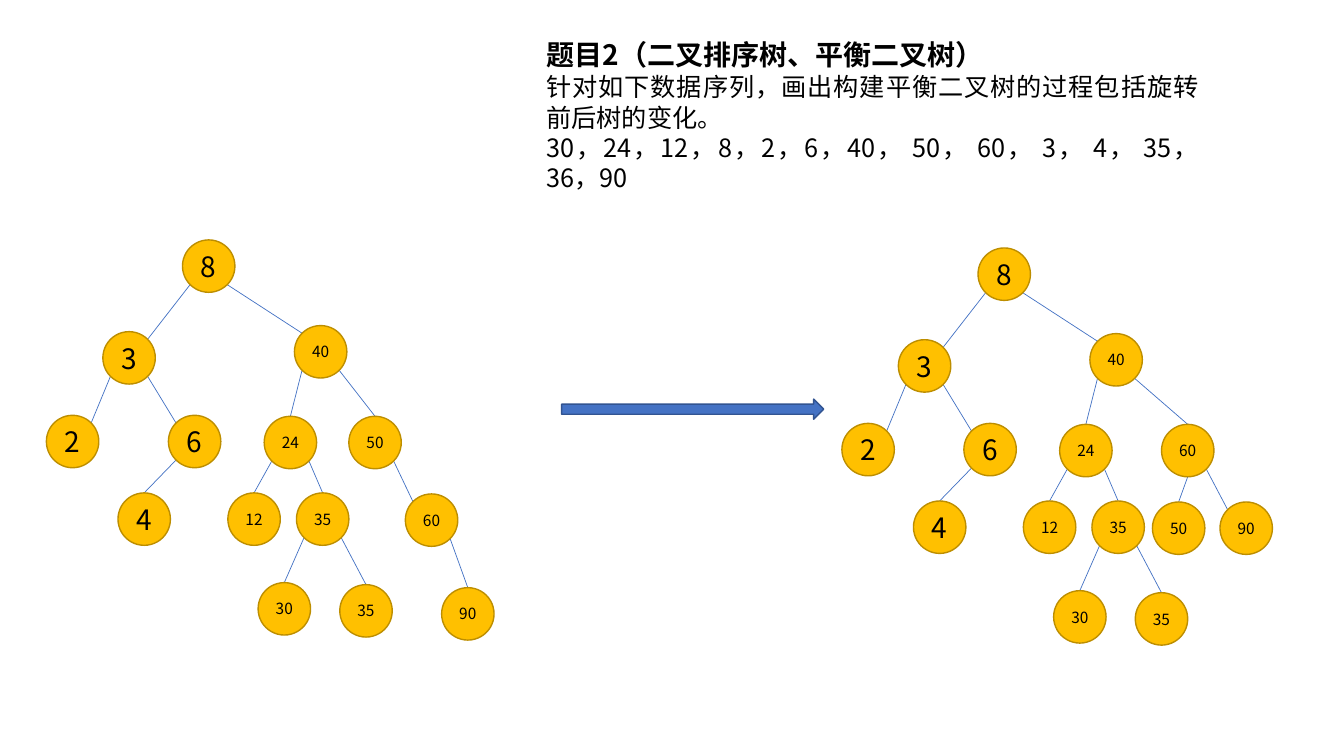
"""Build a slide showing a binary search tree before and after a rebalancing rotation."""
from lxml.etree import SubElement
from pptx import Presentation
from pptx.dml.color import RGBColor
from pptx.enum.shapes import MSO_CONNECTOR as Connector, MSO_SHAPE as Shape
from pptx.enum.text import MSO_ANCHOR as Anchor, MSO_AUTO_SIZE as AutoSize, PP_ALIGN as Align
from pptx.oxml.ns import qn
from pptx.util import Inches, Pt

HEADING = "题目2（二叉排序树、平衡二叉树）"
QUESTION = [
    "针对如下数据序列，画出构建平衡二叉树的过程包括旋转前后树的变化。",
    "30，24，12，8，2，6，40， 50， 60， 3， 4， 35， 36，90",
]
COLORS = {
    "text": "000000", "node": "FFC000", "node_line": "BD8E00",
    "edge": "4472C4", "arrow": "4472C4", "arrow_line": "325491",
}
FONT = "Noto Sans CJK SC"
NODE_SIZE = 0.52

SHARED_NODES = {
    "8": (1.81, 2.38), "3": (1.02, 3.29), "40": (2.92, 3.23),
    "2": (0.46, 4.12), "6": (1.67, 4.12), "24": (2.62, 4.13),
    "4": (1.17, 4.89), "12": (2.26, 4.89), "35": (2.94, 4.89),
    "30": (2.56, 5.78), "35 leaf": (3.37, 5.8),
}
SHARED_EDGES = [
    ("8", "bottom left", "3", "top right"), ("8", "bottom right", "40", "top left"),
    ("3", "bottom left", "2", "top right"), ("3", "bottom right", "6", "top left"),
    ("6", "bottom left", "4", "top"), ("40", "bottom left", "24", "top"),
    ("24", "bottom left", "12", "top"), ("24", "bottom right", "35", "top"),
    ("35", "bottom left", "30", "top"), ("35", "bottom right", "35 leaf", "top"),
]
TREES = [
    {
        "offset": (0, 0),
        "nodes": {"50": (3.46, 4.13), "60": (4.02, 4.9), "90": (4.38, 5.83)},
        "edges": [
            ("40", "bottom right", "50", "top"), ("50", "bottom right", "60", "top left"),
            ("60", "bottom right", "90", "top"),
        ],
    },
    {
        "offset": (7.89, 0.08),
        "nodes": {"60": (3.63, 4.13), "50": (3.54, 4.9), "90": (4.21, 4.9)},
        "edges": [
            ("40", "bottom right", "60", "top"), ("60", "bottom", "50", "top"),
            ("60", "bottom right", "90", "top left"),
        ],
    },
]
DIAGONAL = 0.71
SITES = {
    "top": (0, -1), "bottom": (0, 1),
    "top left": (-DIAGONAL, -DIAGONAL), "top right": (DIAGONAL, -DIAGONAL),
    "bottom left": (-DIAGONAL, DIAGONAL), "bottom right": (DIAGONAL, DIAGONAL),
}


def color(name):
    return RGBColor.from_string(COLORS[name])


def write(paragraph, text, size, bold=False):
    run = paragraph.add_run()
    run.text = text
    run.font.size = Pt(size)
    run.font.bold = bold
    run.font.name = FONT
    run.font.color.rgb = color("text")
    SubElement(run.font._element, qn("a:ea"), typeface=FONT)


def write_block(shape, lines, size, spacing, bold=False):
    frame = shape.text_frame
    frame.word_wrap = True
    frame.auto_size = AutoSize.NONE
    frame.vertical_anchor = Anchor.TOP
    for index, line in enumerate(lines):
        paragraph = frame.add_paragraph() if index else frame.paragraphs[0]
        paragraph.alignment = Align.JUSTIFY
        paragraph.line_spacing = Pt(spacing)
        paragraph.space_before = Pt(0)
        write(paragraph, line, size, bold)


def add_filled(slide, kind, box, fill, line):
    shape = slide.shapes.add_shape(kind, *map(Inches, box))
    shape.shadow.inherit = False
    shape.fill.solid()
    shape.fill.fore_color.rgb = color(fill)
    shape.line.color.rgb = color(line)
    shape.line.width = Pt(1)
    return shape


def add_node(slide, label, x, y):
    node = add_filled(slide, Shape.OVAL, (x, y, NODE_SIZE, NODE_SIZE), "node", "node_line")
    frame = node.text_frame
    frame.margin_left = frame.margin_right = frame.margin_top = frame.margin_bottom = 0
    frame.word_wrap = False
    frame.vertical_anchor = Anchor.MIDDLE
    paragraph = frame.paragraphs[0]
    paragraph.alignment = Align.CENTER
    write(paragraph, label, 20 if len(label) == 1 else 11)


def site_point(position, site):
    radius = NODE_SIZE / 2
    return [Inches(start + radius * (1 + step)) for start, step in zip(position, SITES[site])]


def add_edge(slide, start, end):
    edge = slide.shapes.add_connector(Connector.STRAIGHT, *start, *end)
    edge.line.color.rgb = color("edge")
    edge.line.width = Pt(0.5)
    SubElement(edge._element.spPr, qn("a:effectLst"))


def add_tree(slide, tree):
    shift_x, shift_y = tree["offset"]
    nodes = {
        name: (x + shift_x, y + shift_y)
        for name, (x, y) in {**SHARED_NODES, **tree["nodes"]}.items()
    }
    for parent, parent_site, child, child_site in SHARED_EDGES + tree["edges"]:
        add_edge(slide, site_point(nodes[parent], parent_site), site_point(nodes[child], child_site))
    for name, position in nodes.items():
        add_node(slide, name.split()[0], *position)


def main():
    presentation = Presentation()
    presentation.slide_width, presentation.slide_height = Inches(13.33), Inches(7.5)
    slide = presentation.slides.add_slide(presentation.slide_layouts[5])

    title = slide.shapes.title
    title.left, title.top, title.width, title.height = map(Inches, (5.32, 0.32, 6.67, 0.43))
    write_block(title, [HEADING], 20, 24, bold=True)
    question = slide.shapes.add_textbox(*map(Inches, (5.32, 0.66, 6.67, 1.3)))
    write_block(question, QUESTION, 18, 21.7)

    for tree in TREES:
        add_tree(slide, tree)
    add_filled(slide, Shape.RIGHT_ARROW, (5.57, 3.96, 2.6, 0.2), "arrow", "arrow_line")
    presentation.save("out.pptx")


if __name__ == "__main__":
    main()
